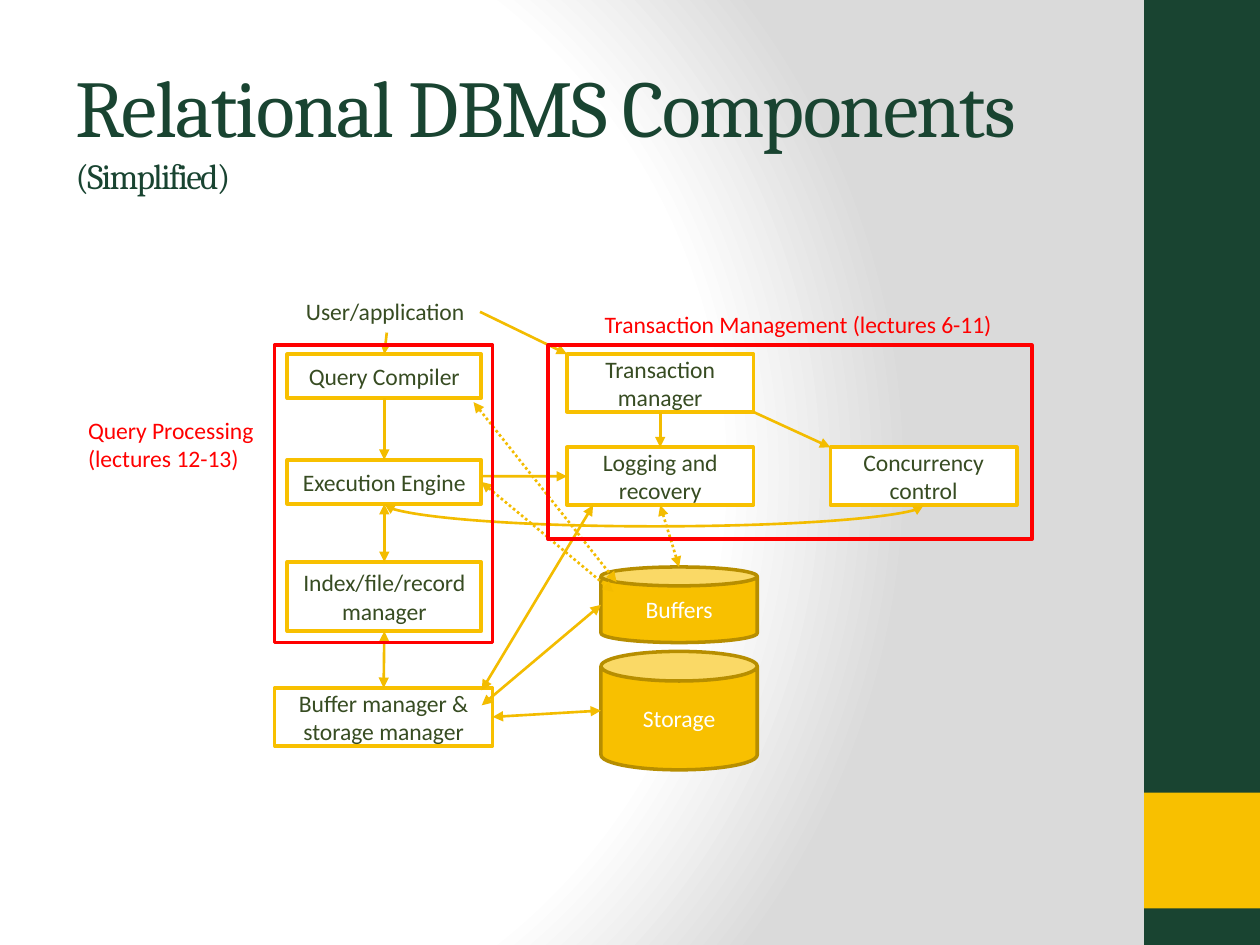
from dataclasses import dataclass

from lxml import etree
from pptx import Presentation
from pptx.dml.color import RGBColor
from pptx.enum.dml import MSO_LINE
from pptx.enum.shapes import MSO_CONNECTOR, MSO_SHAPE
from pptx.enum.text import MSO_ANCHOR, PP_ALIGN
from pptx.oxml import parse_xml
from pptx.oxml.ns import nsdecls, qn
from pptx.util import Inches, Pt

RECT, CAN = MSO_SHAPE.RECTANGLE, MSO_SHAPE.CAN
STRAIGHT, CURVE = MSO_CONNECTOR.STRAIGHT, MSO_CONNECTOR.CURVE
DOTTED = MSO_LINE.ROUND_DOT


@dataclass(frozen=True)
class Theme:
    green: str = "194431"
    text: str = "374C22"
    gold: str = "F8C000"
    dark_gold: str = "B78E00"
    arrow: str = "F3BC00"
    red: str = "FF0000"
    white: str = "FFFFFF"
    grey: str = "DADADA"
    heading_font: str = "Cambria"
    body_font: str = "Calibri"
    title_size: float = 46
    subtitle_size: float = 20.2
    body_size: float = 13.5
    box_line: float = 2
    arrow_line: float = 1.5


THEME = Theme()
WIDTH, HEIGHT = 10, 7.5

TITLE, SUBTITLE = "Relational DBMS Components ", "(Simplified)"
TITLE_AREA = (0.5, 0.36, 8.33, 1.25)

# Columns: (left, width) of the diagram
QUERY, QUERY_FRAME = (2.28, 1.54), (2.18, 1.73)
TRANSACTION, CONTROL, DISK = (4.5, 1.48), (6.59, 1.48), (4.77, 1.24)
ROW_1, ROW_2, ROW_3, ROW_4 = 2.81, 3.65, 4.46, 5.46
FRAME_TOP, LOGGING_TOP = 2.74, 3.55
ONE_LINE, TWO_LINES = 0.35, 0.46

# key: (text, column, top, height)
COMPONENTS = {
    "compiler": ("Query Compiler", QUERY, ROW_1, ONE_LINE),
    "engine": ("Execution Engine", QUERY, ROW_2, ONE_LINE),
    "index": ("Index/file/record manager", QUERY, ROW_3, 0.55),
    "transaction": ("Transaction manager", TRANSACTION, ROW_1, TWO_LINES),
    "logging": ("Logging and recovery", TRANSACTION, LOGGING_TOP, TWO_LINES),
    "concurrency": ("Concurrency control", CONTROL, LOGGING_TOP, TWO_LINES),
    "manager": ("Buffer manager & storage manager", QUERY_FRAME, ROW_4, TWO_LINES),
}
STORES = {
    "storage": ("Storage", DISK, 5.17, 0.94),
    "buffers": ("Buffers", DISK, 4.5, 0.6),
}
LABELS = {
    "user": ("User/application", (2.33, 1.48), 2.31, 0.33),
    "transactions": ("Transaction Management (lectures 6-11)", (4.7, 3.33), 2.41, 0.33),
    "queries": ("Query Processing \v(lectures 12-13)", (0.6, 1.58), 3.25, 0.56),
}
FRAMES = [((4.35, 3.84), 1.54), (QUERY_FRAME, 2.36)]

TOP, BOTTOM, LEFT, RIGHT = (0.5, 0), (0.5, 1), (0, 0.5), (1, 0.5)
CORNER = (0, 0)
# (from, place in its box, to, place in its box, both ends, dotted)
ARROWS = [
    ("index", BOTTOM, "manager", TOP, True, False),
    ("engine", BOTTOM, "index", TOP, True, False),
    ("storage", LEFT, "manager", RIGHT, True, False),
    ("manager", (0.95, 0.3), "buffers", LEFT, True, False),
    ("engine", RIGHT, "buffers", (0.08, 0.33), True, True),
    ("compiler", BOTTOM, "engine", TOP, False, False),
    ("user", BOTTOM, "compiler", TOP, False, False),
    ("user", RIGHT, "transaction", CORNER, False, False),
    ("transaction", BOTTOM, "logging", TOP, False, False),
    ("transaction", (1, 1), "concurrency", CORNER, False, False),
    ("engine", (1, 0.37), "logging", LEFT, False, False),
    ("logging", BOTTOM, "buffers", TOP, True, True),
    ("compiler", (0.96, 1.09), "buffers", (0.1, 0.2), True, True),
    ("logging", (0.14, 1), "manager", (0.95, 0.04), True, False),
]
CURVE_SAG = 0.18


def rgb(code):
    return RGBColor.from_string(code)


def style(run, size, font, color):
    run.font.size, run.font.name = Pt(size), font
    run.font.color.rgb = rgb(color)


def write(frame, text, color):
    frame.text = text
    for run in frame.paragraphs[0].runs:
        style(run, THEME.body_size, THEME.body_font, color)


def add_block(slide, kind, area, fill=None, line=None):
    block = slide.shapes.add_shape(kind, *map(Inches, area))
    block.shadow.inherit = False
    if fill:
        block.fill.solid()
        block.fill.fore_color.rgb = rgb(fill)
    else:
        block.fill.background()
    if line:
        block.line.color.rgb = rgb(line)
        block.line.width = Pt(THEME.box_line)
    else:
        block.line.fill.background()
    return block


def add_component(slide, kind, entry, fill, line, color):
    text, (left, width), top, height = entry
    frame = add_block(slide, kind, (left, top, width, height), fill, line).text_frame
    frame.word_wrap = True
    frame.vertical_anchor = MSO_ANCHOR.MIDDLE
    write(frame, text, color)
    frame.paragraphs[0].alignment = PP_ALIGN.CENTER


def add_label(slide, entry, color):
    text, (left, width), top, height = entry
    box = slide.shapes.add_textbox(*map(Inches, (left, top, width, height)))
    box.text_frame.word_wrap = False
    write(box.text_frame, text, color)


def add_arrow(slide, start, end, both, dotted=False, kind=STRAIGHT):
    arrow = slide.shapes.add_connector(kind, *map(Inches, (*start, *end)))
    arrow.line.color.rgb = rgb(THEME.arrow)
    arrow.line.width = Pt(THEME.arrow_line)
    if dotted:
        arrow.line.dash_style = DOTTED
    line = arrow.line._get_or_add_ln()
    for tip in ("a:headEnd", "a:tailEnd") if both else ("a:tailEnd",):
        etree.SubElement(line, qn(tip), type="triangle")
    etree.SubElement(arrow._element.spPr, qn("a:effectLst"))
    return arrow


def add_sagging_arrow(slide, start, end):
    """Curve that leaves and enters downwards: a quarter-turned, flipped connector."""
    span, drop = end[0] - start[0], 0.01
    middle_x, middle_y = (start[0] + end[0]) / 2, start[1] + drop / 2
    left, top = middle_x - drop / 2, middle_y - span / 2
    arrow = add_arrow(slide, (left, top), (left + drop, top + span), True, kind=CURVE)
    properties = arrow._element.spPr
    properties.xfrm.set("rot", str(270 * 60000))
    properties.xfrm.set("flipH", "1")
    guides = properties.find(qn("a:prstGeom")).get_or_add_avLst()
    etree.SubElement(guides, qn("a:gd"), name="adj1",
                     fmla=f"val {round(CURVE_SAG / drop * 100000)}")


def paint_background(slide):
    stops = "".join(
        f'<a:gs pos="{share * 1000}"><a:srgbClr val="{color}"/></a:gs>'
        for share, color in ((0, THEME.white), (75, THEME.white), (100, THEME.grey)))
    slide._element.cSld.insert(0, parse_xml(
        f'<p:bg {nsdecls("p", "a")}><p:bgPr><a:gradFill rotWithShape="1">'
        f'<a:gsLst>{stops}</a:gsLst><a:path path="circle">'
        '<a:fillToRect l="20000" t="50000" r="100000" b="50000"/></a:path>'
        '</a:gradFill><a:effectLst/></p:bgPr></p:bg>'))


def set_title(slide):
    title = slide.shapes.title
    title.left, title.top, title.width, title.height = map(Inches, TITLE_AREA)
    frame = title.text_frame
    frame.text = f"{TITLE}\v{SUBTITLE}"
    frame.vertical_anchor = MSO_ANCHOR.BOTTOM
    heading = frame.paragraphs[0]
    heading.alignment = PP_ALIGN.LEFT
    for run, size in zip(heading.runs, (THEME.title_size, THEME.subtitle_size)):
        style(run, size, THEME.heading_font, THEME.green)
        run.font._element.set("spc", "-100")


def main():
    deck = Presentation()
    deck.slide_width, deck.slide_height = Inches(WIDTH), Inches(HEIGHT)
    slide = deck.slides.add_slide(deck.slide_layouts[5])
    paint_background(slide)
    set_title(slide)
    band = 9.08
    add_block(slide, RECT, (band, 0, WIDTH - band, HEIGHT), THEME.green)
    add_block(slide, RECT, (band, 6.29, WIDTH - band, 0.92), THEME.gold)

    for entry in COMPONENTS.values():
        add_component(slide, RECT, entry, THEME.white, THEME.gold, THEME.text)
    for entry in STORES.values():
        add_component(slide, CAN, entry, THEME.gold, THEME.dark_gold, THEME.white)

    places = {**COMPONENTS, **STORES, **LABELS}

    def point(key, share):
        _, (left, width), top, height = places[key]
        return left + share[0] * width, top + share[1] * height

    for source, source_share, target, target_share, both, dotted in ARROWS:
        add_arrow(slide, point(source, source_share), point(target, target_share), both, dotted)
    add_sagging_arrow(slide, point("engine", BOTTOM), point("concurrency", BOTTOM))

    for key, entry in LABELS.items():
        add_label(slide, entry, THEME.text if key == "user" else THEME.red)
    for (left, width), height in FRAMES:
        add_block(slide, RECT, (left, FRAME_TOP, width, height), line=THEME.red)
    deck.save("out.pptx")


if __name__ == "__main__":
    main()
